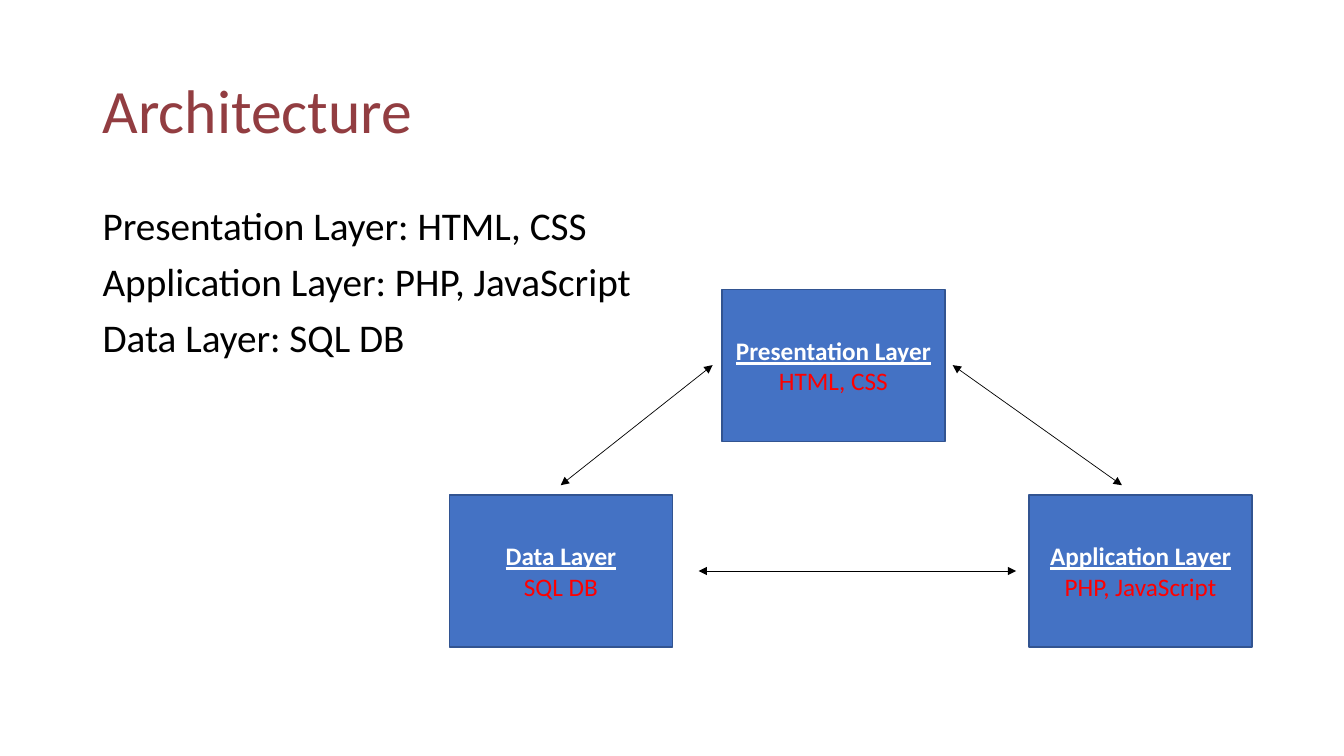
"""Build the three-layer architecture slide."""
from dataclasses import dataclass

import lxml.etree
import pptx
import pptx.dml.color
import pptx.enum.dml
import pptx.enum.shapes
import pptx.enum.text
import pptx.oxml.ns
import pptx.shapes.autoshape
import pptx.slide
import pptx.text.text
import pptx.util

Pt = pptx.util.Pt
RGB = pptx.dml.color.RGBColor.from_string
Align = pptx.enum.text.PP_ALIGN
Anchor = pptx.enum.text.MSO_ANCHOR


@dataclass(frozen=True)
class Theme:
    """Colours, font and type sizes of the slide."""
    font: str = "Calibri"
    title: str = "923D41"
    ink: str = "000000"
    box_fill: str = "4472C4"
    box_line: str = "325491"
    box_heading: str = "FFFFFF"
    box_detail: str = "FF0000"
    title_size: float = 44
    body_size: float = 28
    box_size: float = 18


@dataclass(frozen=True)
class Layer:
    """One architecture layer and the top left corner of its box."""
    name: str
    technologies: str
    left: float
    top: float


@dataclass(frozen=True)
class Arrow:
    """A double-headed arrow between two points."""
    start: tuple[float, float]
    end: tuple[float, float]


THEME = Theme()
SLIDE_SIZE = (960, 540)
TEXT_LEFT, TEXT_WIDTH = 66.24, 828
BOX_WIDTH, BOX_HEIGHT = 159.4, 108.7
UPPER_ROW, LOWER_ROW = 206.8, 353.5
LAYERS = (
    Layer("Presentation Layer", "HTML, CSS", 515.6, UPPER_ROW),
    Layer("Application Layer", "PHP, JavaScript", 735, LOWER_ROW),
    Layer("Data Layer", "SQL DB", 321, LOWER_ROW),
)
UPPER_END, LOWER_END = 260.8, 346.6
LOWER_MIDDLE = LOWER_ROW + BOX_HEIGHT / 2
ARROWS = (
    Arrow((400.5, LOWER_END), (509, UPPER_END)),
    Arrow((680.5, UPPER_END), (801.4, LOWER_END)),
    Arrow((499, LOWER_MIDDLE), (725.8, LOWER_MIDDLE)),
)


def add_run(paragraph: pptx.text.text._Paragraph, text: str, size: float,
            color: str, strong: bool = False) -> None:
    """Add a run; a strong one is bold and underlined."""
    run = paragraph.add_run()
    run.text = text
    run.font.name = THEME.font
    run.font.size = Pt(size)
    run.font.color.rgb = RGB(color)
    run.font.bold = run.font.underline = strong


def get_paragraph(frame: pptx.text.text.TextFrame,
                  index: int) -> pptx.text.text._Paragraph:
    """Return the first paragraph for index 0, else a new one."""
    return frame.add_paragraph() if index else frame.paragraphs[0]


def add_text(slide: pptx.slide.Slide, lines: list[str], top: float,
             height: float, size: float, color: str, anchor: Anchor,
             space_before: float = 0) -> None:
    """Add a text box as wide as the content area."""
    box = slide.shapes.add_textbox(
        Pt(TEXT_LEFT), Pt(top), Pt(TEXT_WIDTH), Pt(height))
    frame = box.text_frame
    frame.word_wrap = True
    frame.vertical_anchor = anchor
    for index, line in enumerate(lines):
        paragraph = get_paragraph(frame, index)
        paragraph.line_spacing = 0.9
        paragraph.space_before = Pt(space_before)
        add_run(paragraph, line, size, color)


def add_layer(slide: pptx.slide.Slide, layer: Layer) -> None:
    """Draw a layer box with its name above its technologies."""
    box = slide.shapes.add_shape(
        pptx.enum.shapes.MSO_SHAPE.RECTANGLE,
        Pt(layer.left), Pt(layer.top), Pt(BOX_WIDTH), Pt(BOX_HEIGHT))
    box.shadow.inherit = False
    box.fill.solid()
    box.fill.fore_color.rgb = RGB(THEME.box_fill)
    box.line.color.rgb = RGB(THEME.box_line)
    box.line.width = Pt(1)
    frame = box.text_frame
    frame.word_wrap = True
    frame.vertical_anchor = Anchor.MIDDLE
    rows = ((layer.name, THEME.box_heading, True),
            (layer.technologies, THEME.box_detail, False))
    for index, (text, color, strong) in enumerate(rows):
        paragraph = get_paragraph(frame, index)
        paragraph.alignment = Align.CENTER
        add_run(paragraph, text, THEME.box_size, color, strong)


def add_arrow(slide: pptx.slide.Slide, arrow: Arrow) -> None:
    """Draw a thin line with a triangle at both ends."""
    connector = slide.shapes.add_connector(
        pptx.enum.shapes.MSO_CONNECTOR.STRAIGHT,
        *(Pt(value) for value in arrow.start + arrow.end))
    connector.line.color.rgb = RGB(THEME.ink)
    connector.line.width = Pt(0.5)
    qualified = pptx.oxml.ns.qn
    properties = connector._element.spPr
    line = properties.find(qualified("a:ln"))
    for tag in ("a:headEnd", "a:tailEnd"):
        lxml.etree.SubElement(line, qualified(tag), type="triangle")
    lxml.etree.SubElement(properties, qualified("a:effectLst"))


def main() -> None:
    """Build and save the slide."""
    presentation = pptx.Presentation()
    presentation.slide_width, presentation.slide_height = map(Pt, SLIDE_SIZE)
    slide = presentation.slides.add_slide(presentation.slide_layouts[6])
    add_text(slide, ["Architecture"], 28.8, 104.4,
             THEME.title_size, THEME.title, Anchor.MIDDLE)
    summary = [f"{layer.name}: {layer.technologies}" for layer in LAYERS]
    add_text(slide, summary, 143.75, 342.6,
             THEME.body_size, THEME.ink, Anchor.TOP, space_before=10)
    for layer in LAYERS:
        add_layer(slide, layer)
    for arrow in ARROWS:
        add_arrow(slide, arrow)
    presentation.save("out.pptx")


main()
